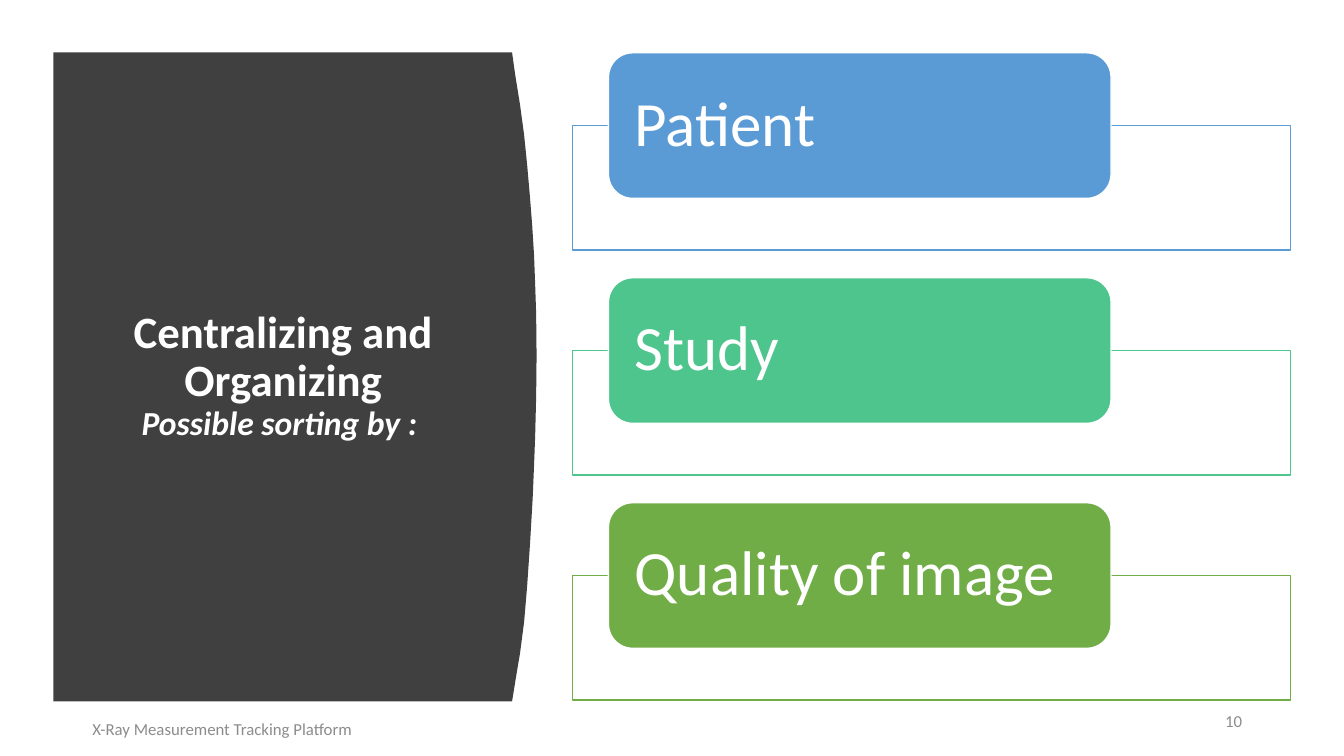
from pptx import Presentation
from pptx.dml.color import RGBColor
from pptx.enum.shapes import MSO_SHAPE as Shape
from pptx.enum.text import MSO_ANCHOR as Anchor, PP_ALIGN as Align
from pptx.util import Pt

TITLE = "Centralizing and Organizing"
LEAD = "Possible sorting by : "
FOOTER = "X-Ray Measurement Tracking Platform"
NUMBER = "10"
CARDS = [("Patient", "5B9BD5"), ("Study", "4DC58D"), ("Quality of image", "70AD47")]

# Right edge of the dark panel, top to bottom
EDGE = [
    (365.8, 37.4), (368, 53.3), (371.5, 74.9), (374.4, 96.5), (376.6, 118.1),
    (378.5, 139.7), (380.2, 161.3), (381.5, 182.2), (382.3, 203), (383, 223.9),
    (383.3, 254.2), (383, 283.7), (382.3, 311.8), (381.6, 329.8), (380.5, 356.4),
    (378.6, 388.8), (376.6, 418.3), (374.4, 444.2), (371.5, 466.6),
    (368.6, 483.8), (365.8, 501.1),
]

THEME = {
    "font": "Calibri", "panel": "404040", "white": "FFFFFF", "grey": "8C8C8C",
    "title": 32, "lead": 24, "card": 45, "small": 12,
}


def rgb(code):
    return RGBColor.from_string(code)


def add_run(para, text, size, color, bold=False, italic=False):
    run = para.add_run()
    run.text = text
    font = run.font
    font.name, font.size, font.color.rgb = THEME["font"], Pt(size), rgb(color)
    font.bold, font.italic = bold, italic


def set_frame(shape, align, side=7.2, edge=3.6):
    """Prepare the text frame and return its first paragraph."""
    frame = shape.text_frame
    frame.word_wrap = True
    frame.vertical_anchor = Anchor.MIDDLE
    frame.margin_left = frame.margin_right = Pt(side)
    frame.margin_top = frame.margin_bottom = Pt(edge)
    para = frame.paragraphs[0]
    para.alignment = align
    return para


def add_text(slide, box, align):
    return set_frame(slide.shapes.add_textbox(*map(Pt, box)), align)


def paint(shape, fill, line=None):
    shape.shadow.inherit = False
    shape.fill.solid()
    shape.fill.fore_color.rgb = rgb(fill)
    if line:
        shape.line.color.rgb = rgb(line)
        shape.line.width = Pt(1)
    else:
        shape.line.fill.background()


def add_panel(slide):
    left, top, low = 38.2, EDGE[0][1], EDGE[-1][1]
    outline = slide.shapes.build_freeform(Pt(left), Pt(top))
    points = EDGE + [(left, low)]
    outline.add_line_segments([(Pt(x), Pt(y)) for x, y in points])
    paint(outline.convert_to_shape(), THEME["panel"])
    para = add_text(slide, (67.7, 79.9, 269.3, 377.3), Align.CENTER)
    para.line_spacing = 0.9
    add_run(para, TITLE, THEME["title"], THEME["white"], bold=True)
    para.add_line_break()
    add_run(para, LEAD, THEME["lead"], THEME["white"], bold=True, italic=True)


def add_cards(slide):
    white, top, step, high = THEME["white"], 37.7, 160.7, 104
    for row, (label, color) in enumerate(CARDS):
        y = top + row * step
        frame = slide.shapes.add_shape(
            Shape.RECTANGLE, Pt(408.9), Pt(y + high / 2), Pt(512.9), Pt(89))
        paint(frame, white, color)
        card = slide.shapes.add_shape(
            Shape.ROUNDED_RECTANGLE, Pt(434.6), Pt(y), Pt(359), Pt(high))
        paint(card, color, white)
        para = set_frame(card, Align.LEFT, side=13.6, edge=0)
        para.line_spacing = 0.9
        add_run(para, label, THEME["card"], white)


def main():
    deck = Presentation()
    deck.slide_width, deck.slide_height = Pt(960), Pt(540)
    slide = deck.slides.add_slide(deck.slide_layouts[6])
    add_panel(slide)
    notes = [
        (FOOTER, (59, 506.2, 324, 28.8), Align.LEFT),
        (NUMBER, (844.6, 500.4, 49.7, 28.8), Align.RIGHT),
    ]
    for text, box, align in notes:
        add_run(add_text(slide, box, align), text, THEME["small"], THEME["grey"])
    add_cards(slide)
    deck.save("out.pptx")


if __name__ == "__main__":
    main()
